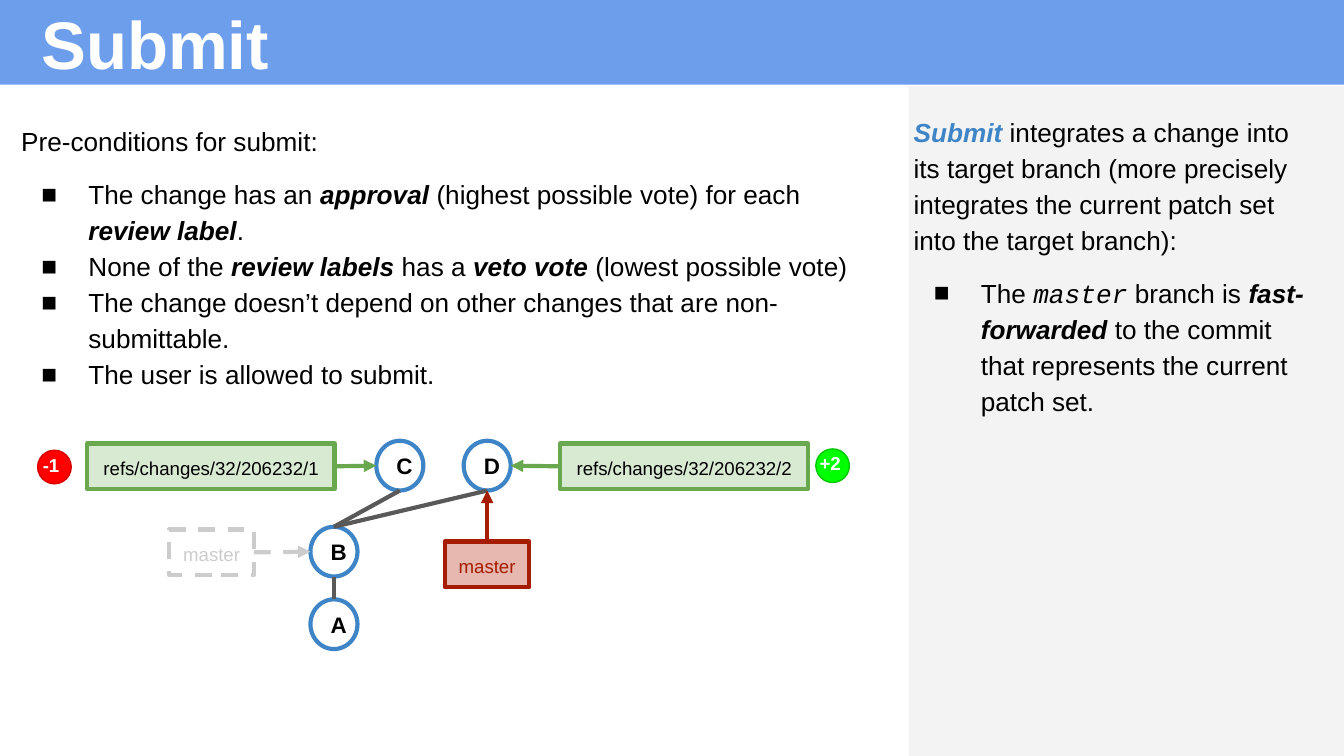
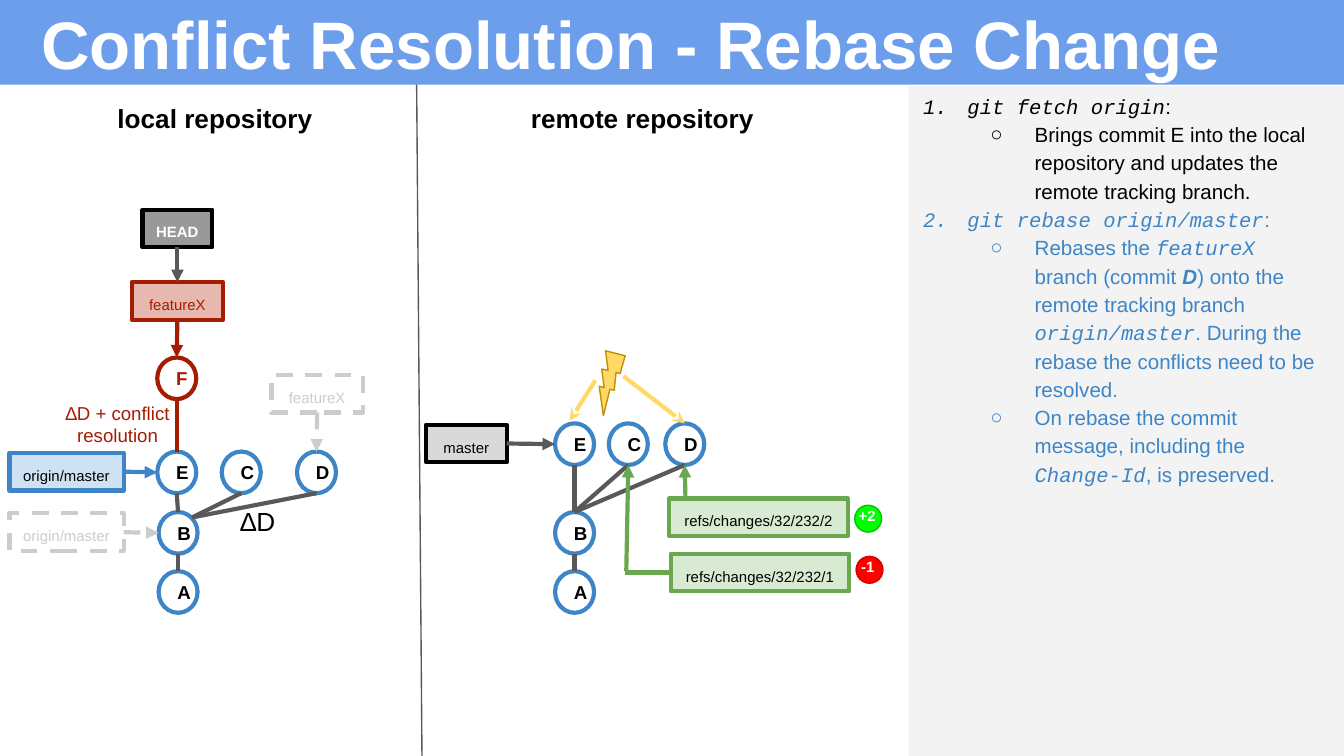
"""Build two slides on submitting a change and rebasing it after a conflict."""
import dataclasses
import enum
import typing

import pptx
import pptx.dml.color
import pptx.enum.dml
import pptx.enum.shapes
import pptx.enum.text
import pptx.oxml
import pptx.oxml.ns
import pptx.util
from lxml import etree

Inches = pptx.util.Inches
Pt = pptx.util.Pt
PRESET = pptx.enum.shapes.MSO_SHAPE
ANCHOR = pptx.enum.text.MSO_ANCHOR
ALIGN = pptx.enum.text.PP_ALIGN


@dataclasses.dataclass(frozen=True)
class Theme:
    font: str = "Arial"
    code_font: str = "Courier New"
    band: str = "6D9EEB"
    panel: str = "F3F3F3"
    ink: str = "000000"
    paper: str = "FFFFFF"
    blue: str = "3D85C6"
    pale_blue: str = "CFE2F3"
    green: str = "6AA84F"
    pale_green: str = "D9EAD3"
    red: str = "A61C00"
    pale_red: str = "E6B8AF"
    gray: str = "595959"
    head_gray: str = "999999"
    pale_gray: str = "D9D9D9"
    ghost: str = "CCCCCC"
    yellow: str = "FFD966"
    bolt_edge: str = "BF9000"
    title_pt: float = 36
    body_pt: float = 14
    steps_pt: float = 11
    note_pt: float = 10
    stroke_pt: float = 2.25
    hairline_pt: float = 0.75
    spacing: float = 1.15
    inset: float = 0.1


THEME = Theme()


class Side(enum.IntEnum):
    TOP = 0
    LEFT = 1
    BOTTOM = 2
    RIGHT = 3


class Box(typing.NamedTuple):
    left: float
    top: float
    width: float
    height: float


class Run(typing.NamedTuple):
    text: str
    bold: bool = False
    italic: bool = False
    font: str = THEME.font
    color: str | None = None


class Para(typing.NamedTuple):
    runs: list[Run]
    bullet: str = ""
    level: int = 0
    before: float = 0
    color: str = THEME.ink


class Look(typing.NamedTuple):
    line: str
    fill: str | None = None
    ink: str = THEME.ink
    bold: bool = False
    dashed: bool = False


class Scale(typing.NamedTuple):
    commit_width: float
    commit_height: float
    ref_height: float
    commit_pt: float
    ref_pt: float


class Node(typing.NamedTuple):
    key: str
    text: str
    left: float
    top: float
    look: Look
    width: float = 0


class Link(typing.NamedTuple):
    start: tuple
    end: tuple
    color: str = THEME.gray
    head: str = ""
    dashed: bool = False
    weight: float = THEME.stroke_pt


class Badge(typing.NamedTuple):
    vote: str
    left: float
    top: float
    size: float
    points: float


COMMIT = Look(THEME.blue, bold=True)
NEW_COMMIT = Look(THEME.red, ink=THEME.red, bold=True)
CHANGE = Look(THEME.green, THEME.pale_green)
BRANCH = Look(THEME.red, THEME.pale_red, THEME.red)
GHOST = Look(THEME.ghost, ink=THEME.ghost, dashed=True)
TRACKING = Look(THEME.blue, THEME.pale_blue)
REMOTE = Look(THEME.ink, THEME.pale_gray)
HEAD = Look(THEME.ink, THEME.head_gray, THEME.paper, bold=True)
VOTES = {"+2": ("00FF00", "00C700", 0.07), "-1": ("FF0000", "D50000", 0.06)}
LARGE = Scale(0.35, 0.37, 0.34, 12, 10)
SMALL = Scale(0.29, 0.31, 0.28, 10, 8)


def rgb(value: str) -> pptx.dml.color.RGBColor:
    """Turn a hex string into a colour."""
    return pptx.dml.color.RGBColor.from_string(value)


def strong(text: str, color: str | None = None) -> Run:
    """Describe a bold italic run."""
    return Run(text, True, True, color=color)


def code(text: str) -> Run:
    """Describe an italic monospaced run."""
    return Run(text, italic=True, font=THEME.code_font)


def add_child(parent, tag: str, **attributes: str):
    """Append a DrawingML element."""
    return etree.SubElement(parent, pptx.oxml.ns.qn(f"a:{tag}"), attributes)


def style_run(run, points: float, color: str, bold=False, italic=False, font=THEME.font) -> None:
    """Set the font of one run."""
    run.font.name, run.font.size = font, Pt(points)
    run.font.bold, run.font.italic = bold, italic
    run.font.color.rgb = rgb(color)


def set_insets(frame) -> None:
    """Wrap the text inside equal margins."""
    frame.word_wrap = True
    frame.margin_left = frame.margin_right = Inches(THEME.inset)
    frame.margin_top = frame.margin_bottom = Inches(THEME.inset)


def add_preset(shapes, preset, box: Box, fill: str | None, line: str | None = None,
               weight: float = THEME.hairline_pt):
    """Draw a preset shape without shadow."""
    shape = shapes.add_shape(preset, *map(Inches, box))
    shape.shadow.inherit = False
    if fill:
        shape.fill.solid()
        shape.fill.fore_color.rgb = rgb(fill)
    else:
        shape.fill.background()
    if line:
        shape.line.color.rgb = rgb(line)
        shape.line.width = Pt(weight)
    else:
        shape.line.fill.background()
    return shape


def write_line(frame, text: str, points: float, color: str, bold: bool, align) -> None:
    """Write one uniformly styled paragraph."""
    set_insets(frame)
    frame.text = text
    frame.paragraphs[0].alignment = align
    style_run(frame.paragraphs[0].runs[0], points, color, bold)


def add_caption(shapes, box: Box, text: str, points: float, color: str = THEME.ink,
                bold: bool = False, align=ALIGN.LEFT, anchor=ANCHOR.TOP) -> None:
    """Place a single-style text box."""
    frame = shapes.add_textbox(*map(Inches, box)).text_frame
    write_line(frame, text, points, color, bold, align)
    frame.vertical_anchor = anchor


def add_bullet(paragraph, para: Para, hang: float) -> None:
    """Give a paragraph its indent and marker."""
    properties = paragraph._p.get_or_add_pPr()
    properties.set("marL", str(Inches(0.5 * (para.level + 1))))
    properties.set("indent", str(-Inches(hang)))
    marker_color = add_child(properties, "buClr")
    add_child(marker_color, "srgbClr", val=para.color)
    add_child(properties, "buFont", typeface=para.runs[0].font)
    if para.bullet == "1.":
        add_child(properties, "buAutoNum", type="arabicPeriod")
    else:
        add_child(properties, "buChar", char=para.bullet)


def add_prose(slide, box: Box, paras: list[Para], points: float, hang: float) -> None:
    """Write mixed-style paragraphs with bullets."""
    frame = slide.shapes.add_textbox(*map(Inches, box)).text_frame
    set_insets(frame)
    for index, para in enumerate(paras):
        paragraph = frame.add_paragraph() if index else frame.paragraphs[0]
        paragraph.level = para.level
        paragraph.line_spacing = THEME.spacing
        paragraph.space_before = Pt(para.before)
        if para.bullet:
            add_bullet(paragraph, para, hang)
        for part in para.runs:
            run = paragraph.add_run()
            run.text = part.text
            style_run(run, points, part.color or para.color, part.bold, part.italic, part.font)


def add_node(slide, node: Node, scale: Scale):
    """Draw a commit circle, or a ref box when the node has a width."""
    if node.width:
        preset, size, points = PRESET.RECTANGLE, (node.width, scale.ref_height), scale.ref_pt
    else:
        preset, size, points = PRESET.OVAL, scale[:2], scale.commit_pt
    look = node.look
    shape = add_preset(slide.shapes, preset, Box(node.left, node.top, *size),
                       look.fill, look.line, THEME.stroke_pt)
    if look.dashed:
        shape.line.dash_style = pptx.enum.dml.MSO_LINE.DASH
    write_line(shape.text_frame, node.text, points, look.ink, look.bold, ALIGN.CENTER)
    shape.text_frame.vertical_anchor = ANCHOR.TOP if node.width else ANCHOR.MIDDLE
    return shape


def locate(end: tuple, shapes: dict) -> tuple[int, int]:
    """Find the point of a node side or of plain coordinates."""
    if not isinstance(end[0], str):
        return Inches(end[0]), Inches(end[1])
    shape, side = shapes[end[0]], end[1]
    across = {Side.LEFT: 0, Side.RIGHT: shape.width}.get(side, shape.width // 2)
    down = {Side.TOP: 0, Side.BOTTOM: shape.height}.get(side, shape.height // 2)
    return shape.left + across, shape.top + down


def add_link(slide, link: Link, shapes: dict) -> None:
    """Draw a straight connector and join it to boxes."""
    line = slide.shapes.add_connector(pptx.enum.shapes.MSO_CONNECTOR.STRAIGHT,
                                      *locate(link.start, shapes), *locate(link.end, shapes))
    for end, join in ((link.start, line.begin_connect), (link.end, line.end_connect)):
        if end[0] in shapes and shapes[end[0]].auto_shape_type == PRESET.RECTANGLE:
            join(shapes[end[0]], int(end[1]))
    line.line.color.rgb = rgb(link.color)
    line.line.width = Pt(link.weight)
    if link.dashed:
        line.line.dash_style = pptx.enum.dml.MSO_LINE.DASH
    if link.head:
        add_child(line.line._get_or_add_ln(), "tailEnd", type=link.head)
    add_child(line._element.spPr, "effectLst")


def add_graph(slide, nodes: list[Node], links: list[Link], scale: Scale) -> None:
    """Draw the nodes of a commit graph and their links."""
    shapes = {node.key: add_node(slide, node, scale) for node in nodes}
    for link in links:
        add_link(slide, link, shapes)


def add_badge(slide, badge: Badge) -> None:
    """Draw a round vote badge as a group."""
    fill, edge, shift = VOTES[badge.vote]
    group = slide.shapes.add_group_shape().shapes
    add_preset(group, PRESET.OVAL, Box(badge.left, badge.top, badge.size, badge.size), fill, edge)
    add_caption(group, Box(badge.left - shift, badge.top - 0.06, 0.4, 0.36),
                badge.vote, badge.points, THEME.paper, True)


def start_slide(deck, title: str):
    """Add a slide with title band and side panel."""
    slide = deck.slides.add_slide(deck.slide_layouts[6])
    add_preset(slide.shapes, PRESET.RECTANGLE, Box(0, 0, 10.01, 0.63), THEME.band)
    add_preset(slide.shapes, PRESET.RECTANGLE, Box(6.76, 0.64, 3.25, 4.99), THEME.panel)
    add_caption(slide.shapes, Box(0.21, -0.1, 9.3, 0.83), title, THEME.title_pt,
                THEME.paper, True, anchor=ANCHOR.MIDDLE)
    return slide


def build_submit(deck) -> None:
    """Build the slide on submitting."""
    slide = start_slide(deck, "Submit")
    add_prose(slide, Box(6.7, 0.73, 3.24, 4.28), [
        Para([strong("Submit", THEME.blue), Run(" integrates a change into its target branch (more precisely "
              "integrates the current patch set into the target branch):")], before=9),
        Para([Run("The "), code("master"), Run(" branch is "), strong("fast-forwarded"),
              Run(" to the commit that represents the current patch set.")], "■", before=9),
    ], THEME.body_pt, 0.35)
    add_prose(slide, Box(0.06, 0.8, 6.53, 2.42), [
        Para([Run("Pre-conditions for submit:")], before=9),
        Para([Run("The change has an "), strong("approval"), Run(" (highest possible vote) for each "),
              strong("review label"), Run(".")], "■", before=9),
        Para([Run("None of the "), strong("review labels"), Run(" has a "), strong("veto vote "),
              Run("(lowest possible vote)")], "■"),
        Para([Run("The change doesn’t depend on other changes that are non-submittable.")], "■"),
        Para([Run("The user is allowed to submit.")], "■"),
    ], THEME.body_pt, 0.35)
    add_graph(slide, [
        Node("A", "A", 2.31, 4.46, COMMIT), Node("B", "B", 2.31, 3.92, COMMIT),
        Node("C", "C", 2.8, 3.28, COMMIT), Node("D", "D", 3.45, 3.28, COMMIT),
        Node("first", "refs/changes/32/206232/1", 0.65, 3.3, CHANGE, 1.84),
        Node("second", "refs/changes/32/206232/2", 4.17, 3.3, CHANGE, 1.84),
        Node("old", "master", 1.26, 3.94, GHOST, 0.63), Node("new", "master", 3.31, 4.03, BRANCH, 0.63),
    ], [
        Link(("A", Side.TOP), ("B", Side.BOTTOM)),
        *(Link(("B", Side.TOP), (child, Side.BOTTOM)) for child in "CD"),
        Link(("first", Side.RIGHT), ("C", Side.LEFT), THEME.green, "triangle"),
        Link(("second", Side.LEFT), ("D", Side.RIGHT), THEME.green, "triangle"),
        Link(("old", Side.RIGHT), ("B", Side.LEFT), THEME.ghost, "triangle", True),
        Link(("new", Side.TOP), ("D", Side.BOTTOM), THEME.red, "triangle"),
    ], LARGE)
    for badge in (Badge("+2", 6.07, 3.34, 0.25, 10), Badge("-1", 0.28, 3.35, 0.25, 10)):
        add_badge(slide, badge)


def build_rebase(deck) -> None:
    """Build the slide on rebasing a change."""
    slide = start_slide(deck, "Conflict Resolution - Rebase Change")
    add_prose(slide, Box(6.6, 0.57, 3.31, 4.28), [
        Para([code("git fetch origin"), Run(":")], "1.", before=9),
        Para([Run("Brings commit E into the local repository and updates the remote tracking branch.")], "○", 1),
        Para([code("git rebase origin/master"), Run(":")], "1.", color=THEME.blue),
        Para([Run("Rebases the "), code("featureX"), Run(" branch (commit "), strong("D"),
              Run(") onto the remote tracking branch "), code("origin/master"),
              Run(". During the rebase the conflicts need to be resolved.")], "○", 1, color=THEME.blue),
        Para([Run("On rebase the commit message, including the "), code("Change-Id"),
              Run(", is preserved.")], "○", 1, color=THEME.blue),
    ], THEME.steps_pt, 0.33)
    for left, place in ((0.57, "local"), (3.75, "remote")):
        add_caption(slide.shapes, Box(left, 0.66, 2.06, 0.5), f"{place} repository",
                    THEME.body_pt, bold=True, align=ALIGN.CENTER)
    add_link(slide, Link((3.1, 0.63), (3.14, 5.63), weight=THEME.hairline_pt), {})
    add_graph(slide, [
        Node("A", "A", 4.13, 4.25, COMMIT), Node("B", "B", 4.13, 3.81, COMMIT),
        *(Node(key, key, left, 3.15, COMMIT) for key, left in (("E", 4.13), ("C", 4.53), ("D", 4.95))),
        Node("first", "refs/changes/32/232/1", 4.99, 4.12, CHANGE, 1.33),
        Node("second", "refs/changes/32/232/2", 4.98, 3.71, CHANGE, 1.33),
        Node("master", "master", 3.17, 3.16, REMOTE, 0.6),
    ], [
        Link(("A", Side.TOP), ("B", Side.BOTTOM)),
        *(Link(("B", Side.TOP), (child, Side.BOTTOM)) for child in "ECD"),
        Link(("master", Side.RIGHT), ("E", Side.LEFT), head="triangle"),
        Link((5.1, 3.71), ("D", Side.BOTTOM), THEME.green, "triangle"),
        Link(("first", Side.LEFT), (4.65, 4.26), THEME.green),
        Link((4.66, 4.25), ("C", Side.BOTTOM), THEME.green, "triangle"),
        Link((4.43, 2.83), (4.24, 3.13), THEME.yellow, "stealth"),
        Link((4.64, 2.8), ("D", Side.TOP), THEME.yellow, "stealth"),
    ], SMALL)
    add_graph(slide, [
        Node("A", "A", 1.18, 4.25, COMMIT), Node("B", "B", 1.18, 3.81, COMMIT),
        *(Node(key, key, left, 3.36, COMMIT) for key, left in (("E", 1.17), ("C", 1.65), ("D", 2.21))),
        Node("F", "F", 1.17, 2.66, NEW_COMMIT),
        Node("old origin", "origin/master", 0.07, 3.82, GHOST, 0.85),
        Node("origin", "origin/master", 0.07, 3.37, TRACKING, 0.85),
        Node("old feature", "featureX", 2.02, 2.79, GHOST, 0.68),
        Node("feature", "featureX", 0.98, 2.1, BRANCH, 0.68), Node("head", "HEAD", 1.06, 1.56, HEAD, 0.52),
    ], [
        Link(("A", Side.TOP), ("B", Side.BOTTOM)), Link(("B", Side.TOP), ("E", Side.BOTTOM)),
        *(Link((1.43, 3.85), (child, Side.BOTTOM)) for child in "CD"),
        Link(("E", Side.TOP), ("F", Side.BOTTOM), THEME.red),
        Link(("old origin", Side.RIGHT), ("B", Side.LEFT), THEME.ghost, "triangle", True),
        Link(("origin", Side.RIGHT), ("E", Side.LEFT), THEME.blue, "triangle"),
        Link(("old feature", Side.BOTTOM), ("D", Side.TOP), THEME.ghost, "triangle", True),
        Link(("feature", Side.BOTTOM), ("F", Side.TOP), THEME.red, "triangle"),
        Link(("head", Side.BOTTOM), ("feature", Side.TOP), head="triangle"),
    ], SMALL)
    add_caption(slide.shapes, Box(1.69, 3.66, 0.54, 0.38), "∆D", THEME.body_pt)
    add_caption(slide.shapes, Box(0.21, 2.89, 1.33, 0.5), "∆D + conflict resolution",
                THEME.note_pt, THEME.red, align=ALIGN.CENTER)
    conflict = add_preset(slide.shapes, PRESET.LIGHTNING_BOLT, Box(4.36, 2.61, 0.33, 0.43),
                          THEME.yellow, THEME.bolt_edge)
    conflict.rotation = 45
    for badge in (Badge("+2", 6.36, 3.76, 0.2, 8), Badge("-1", 6.37, 4.14, 0.2, 8)):
        add_badge(slide, badge)


def main() -> None:
    """Build and save the deck."""
    deck = pptx.Presentation()
    deck.slide_width = Inches(10)
    deck.slide_height = deck.slide_width * 9 // 16
    build_submit(deck)
    build_rebase(deck)
    deck.save("out.pptx")


if __name__ == "__main__":
    main()
